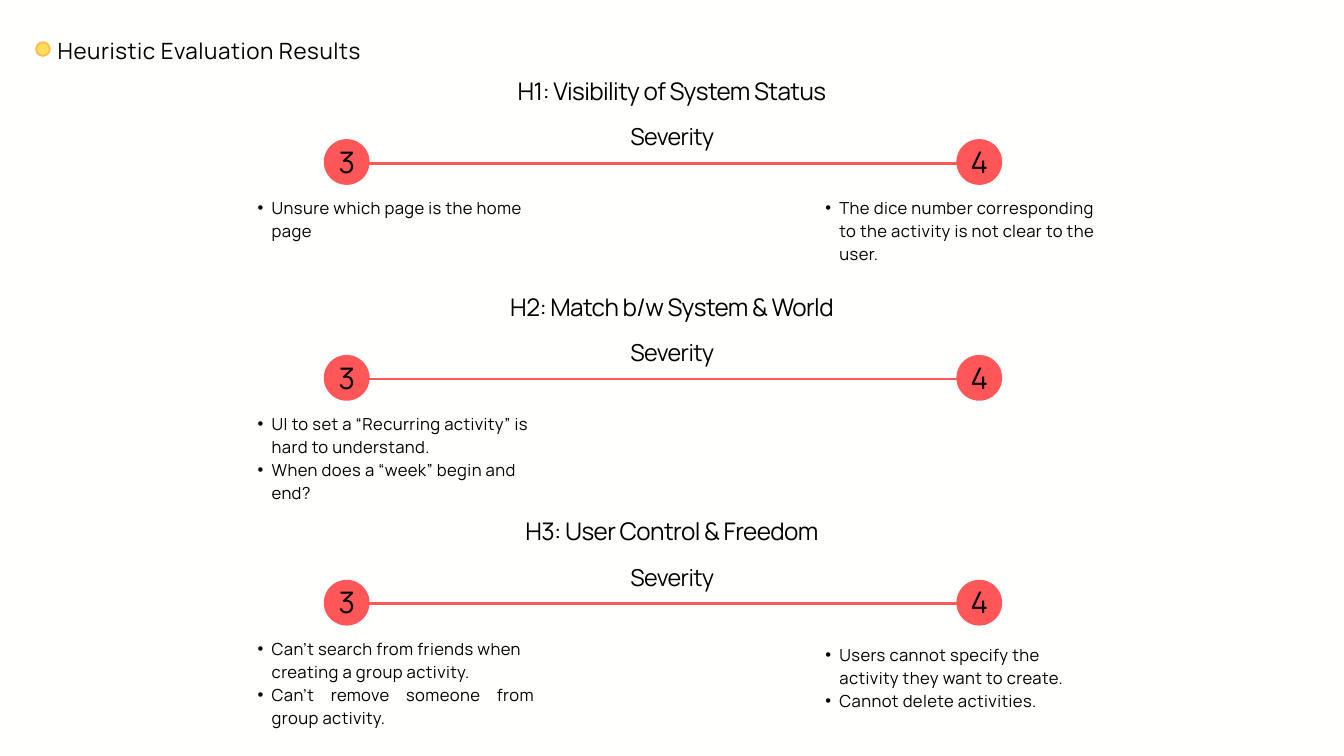
from dataclasses import dataclass

from lxml.etree import SubElement
from pptx import Presentation
from pptx.dml.color import RGBColor
from pptx.enum.shapes import MSO_CONNECTOR, MSO_SHAPE
from pptx.enum.text import MSO_ANCHOR, MSO_AUTO_SIZE, PP_ALIGN
from pptx.oxml.ns import qn
from pptx.util import Cm, Pt


@dataclass(frozen=True)
class Style:
    """Size, line pitch and letter spacing of one kind of text, in points."""
    size: float
    pitch: float
    tracking: float


@dataclass(frozen=True)
class Theme:
    """Colours and type styles of the deck."""
    font: str = "Manrope"
    paper: RGBColor = RGBColor(0xFF, 0xFF, 0xFE)
    ink: RGBColor = RGBColor(0, 0, 0)
    accent: RGBColor = RGBColor(0xFF, 0x57, 0x57)
    dot: RGBColor = RGBColor(0xFF, 0xDE, 0x59)
    dot_edge: RGBColor = RGBColor(0xFF, 0xBD, 0x59)
    title: Style = Style(24, 36, 0.6)
    heading: Style = Style(26, 36.4, -0.65)
    label: Style = Style(25, 35, -0.6)
    number: Style = Style(31.8, 44.6, -0.8)
    item: Style = Style(17.8, 24.9, 0.45)


@dataclass(frozen=True)
class Box:
    """A rectangle in centimetres."""
    left: float
    top: float
    width: float
    height: float

    def inner(self, left, top, width, height):
        """Return a box placed relative to this one."""
        return Box(self.left + left, self.top + top, width, height)

    def lengths(self):
        """Return left, top, width and height as lengths."""
        return Cm(self.left), Cm(self.top), Cm(self.width), Cm(self.height)


@dataclass(frozen=True)
class Findings:
    """The list under one severity, with its drop in the section."""
    items: tuple
    height: float
    drop: float = 4.66
    justified: tuple = ()


THEME = Theme()
SEVERITIES = (("3", 4.06, 1.02), ("4", 27.97, 22.48))
SECTIONS = (
    (2.69, "H1: Visibility of System Status", (
        Findings(("Unsure which page is the home page",), 1.75),
        Findings(("The dice number corresponding to the activity is not clear to the user.",), 2.62))),
    (10.85, "H2: Match b/w System & World", (
        Findings(("UI to set a “Recurring activity” is hard to understand.",
                  "When does a “week” begin and end?"), 3.5),
        None)),
    (19.35, "H3: User Control & Freedom", (
        Findings(("Can’t search from friends when creating a group activity.",
                  "Can’t remove someone from group activity."), 4.37, justified=(1,)),
        Findings(("Users cannot specify the activity they want to create.",
                  "Cannot delete activities."), 2.62, drop=4.9))),
)


def write_text(page, box, *texts, style, align=PP_ALIGN.CENTER, bulleted=False,
               justified=(), holder=None):
    """Write paragraphs into a placeholder, or into a new text box."""
    shape = holder if holder is not None else page.shapes.add_textbox(*box.lengths())
    shape.left, shape.top, shape.width, shape.height = box.lengths()
    frame = shape.text_frame
    frame.word_wrap = True
    frame.auto_size = MSO_AUTO_SIZE.NONE
    frame.vertical_anchor = MSO_ANCHOR.TOP
    frame.margin_left = frame.margin_top = frame.margin_right = frame.margin_bottom = 0
    for index, text in enumerate(texts):
        para = frame.add_paragraph() if index else frame.paragraphs[0]
        if bulleted:
            add_bullet(para)
        para.alignment = PP_ALIGN.JUSTIFY if index in justified else align
        para.line_spacing = Pt(style.pitch)
        para.space_before = para.space_after = Pt(0)
        span = para.add_run()
        span.text = text
        span.font.name = THEME.font
        span.font.size = Pt(style.size)
        span.font.bold = False
        span.font.color.rgb = THEME.ink
        span._r.get_or_add_rPr().set("spc", str(round(style.tracking * 100)))


def add_bullet(para):
    """Give a paragraph a round bullet with a hanging indent."""
    para.level = 1
    properties = para._p.get_or_add_pPr()
    properties.set("marL", str(Cm(1.07)))
    properties.set("indent", str(Cm(-0.53)))
    SubElement(properties, qn("a:buFont")).set("typeface", "Arial")
    SubElement(properties, qn("a:buChar")).set("char", "•")


def add_disc(page, box, fill, edge=None):
    """Draw a filled circle, with an edge if a colour is given."""
    disc = page.shapes.add_shape(MSO_SHAPE.OVAL, *box.lengths())
    disc.shadow.inherit = False
    disc.fill.solid()
    disc.fill.fore_color.rgb = fill
    if edge is None:
        disc.line.fill.background()
    else:
        disc.line.color.rgb = edge
        disc.line.width = Pt(2.25)


def add_scale_line(page, box):
    """Draw the line that joins the two severities."""
    left, top, width, _ = box.lengths()
    line = page.shapes.add_connector(MSO_CONNECTOR.STRAIGHT, left, top, left + width, top)
    line.line.color.rgb = THEME.accent
    line.line.width = Pt(3)
    SubElement(line._element.spPr, qn("a:effectLst"))


def add_title(page, box, text):
    """Place the slide title after its dot."""
    add_disc(page, box.inner(0, 0.46, 0.51, 0.51), THEME.dot, THEME.dot_edge)
    write_text(page, box.inner(0.81, 0, 14.05, 1.22), text, style=THEME.title,
               align=PP_ALIGN.LEFT, holder=page.shapes.title)


def add_severity(page, box, number):
    """Place one severity disc with its number."""
    add_disc(page, box, THEME.accent)
    write_text(page, box.inner(-0.08, -0.06, 1.9, 1.57), number, style=THEME.number)


def add_findings(page, box, findings, holder):
    """Place the bulleted findings of one severity."""
    write_text(page, box, *findings.items, style=THEME.item, align=PP_ALIGN.LEFT,
               bulleted=True, justified=findings.justified, holder=holder)


def add_section(page, box, heading, columns, holders):
    """Place one heuristic: heading, severity scale and findings."""
    write_text(page, box.inner(0, 0, box.width, 1.24), heading, style=THEME.heading)
    write_text(page, box.inner(11.5, 1.75, 11.46, 1.24), "Severity", style=THEME.label)
    add_scale_line(page, box.inner(4.72, 3.48, 24.03, 0))
    for (number, disc_left, list_left), findings in zip(SEVERITIES, columns):
        add_severity(page, box.inner(disc_left, 2.57, 1.73, 1.73), number)
        if findings:
            list_box = box.inner(list_left, findings.drop, 11, findings.height)
            add_findings(page, list_box, findings, next(holders, None))


def main():
    """Build and save the deck."""
    deck = Presentation()
    deck.slide_width, deck.slide_height = Cm(50.8), Cm(28.58)
    page = deck.slides.add_slide(deck.slide_layouts.get_by_name("Comparison"))
    page.background.fill.solid()
    page.background.fill.fore_color.rgb = THEME.paper
    holders = iter([holder for holder in page.placeholders
                    if holder.placeholder_format.idx > 0])
    add_title(page, Box(1.37, 1.14, 14.86, 1.22), "Heuristic Evaluation Results")
    for top, heading, columns in SECTIONS:
        add_section(page, Box(8.18, top, 34.44, 9), heading, columns, holders)
    deck.save("out.pptx")


if __name__ == "__main__":
    main()
